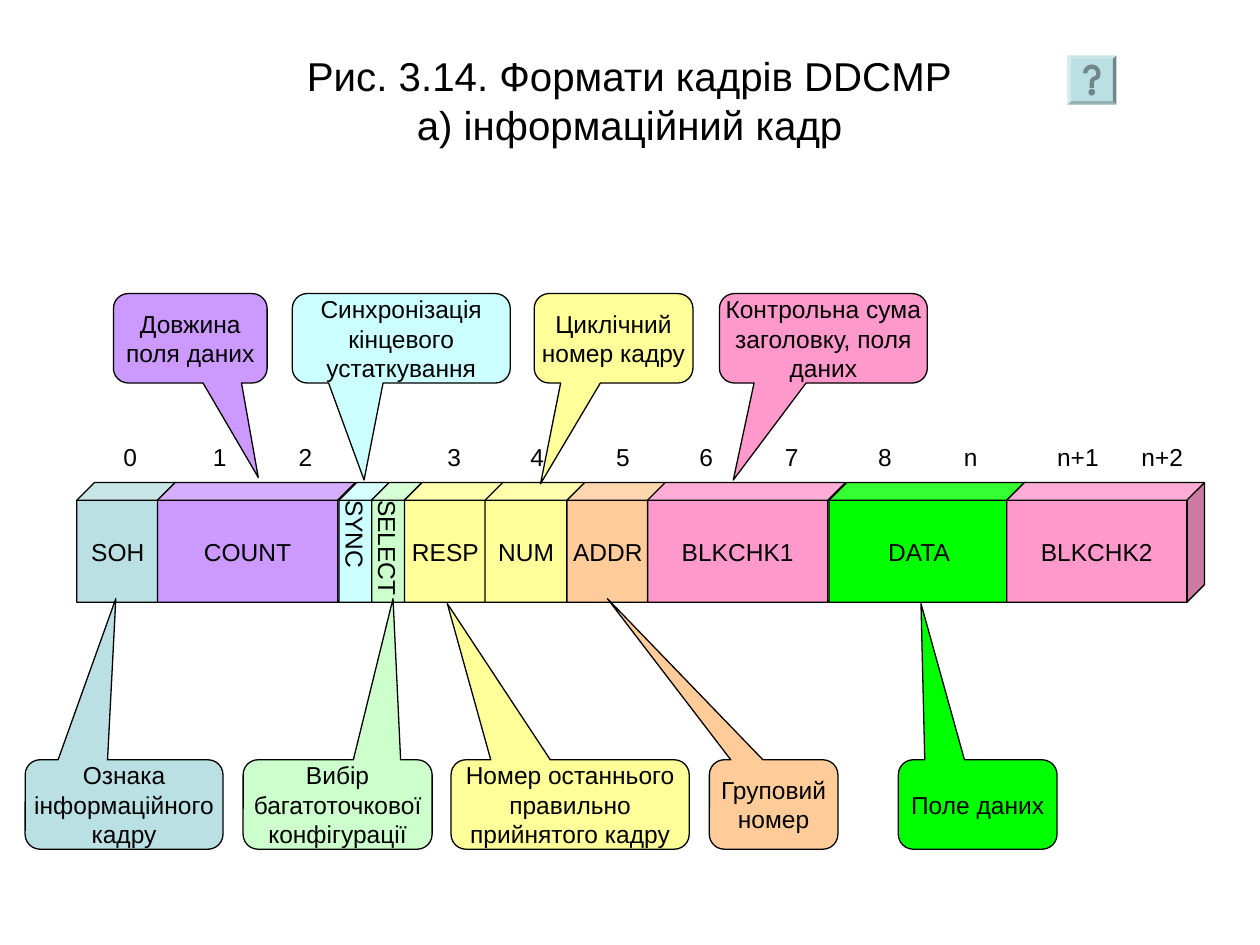
from pptx import Presentation
from pptx import util as u
from pptx.dml import color
from pptx.enum import shapes, text

HUES = {
    "black": "000000", "teal": "BBE0E3", "violet": "CC99FF", "cyan": "CCFFFF",
    "mint": "CCFFCC", "yellow": "FFFF99", "peach": "FFCC99", "pink": "FF99CC",
    "green": "00FF00",
}
DEPTH = 0.14
RIM = 0.03
FIELDS = [
    ("SOH", 0.61, 0.79, "teal"), ("COUNT", 1.25, 1.57, "violet"),
    ("SYNC", 2.69, 0.4, "cyan"), ("SELECT", 2.95, 0.4, "mint"),
    ("RESP", 3.21, 0.79, "yellow"), ("NUM", 3.85, 0.79, "yellow"),
    ("ADDR", 4.5, 0.79, "peach"), ("BLKCHK1", 5.14, 1.57, "pink"),
    ("DATA", 6.58, 1.57, "green"), ("BLKCHK2", 7.99, 1.57, "pink"),
]
BYTES = [
    ("0", 0.98), ("1", 1.69), ("2", 2.37), ("3", 3.55), ("4", 4.21), ("5", 4.89),
    ("6", 5.55), ("7", 6.23), ("8", 6.97), ("n", 7.65), ("n+1", 8.39), ("n+2", 9.06),
]
UPPER = [
    ("Довжина поля даних", 0.9, 1.22, (2.05, 3.79), "violet"),
    ("Синхронізація кінцевого устаткування", 2.32, 1.73, (2.89, 3.81), "cyan"),
    ("Циклічний номер кадру", 4.24, 1.26, (4.29, 3.84), "yellow"),
    ("Контрольна сума заголовку, поля даних", 5.71, 1.65, (5.82, 3.81), "pink"),
]
LOWER = [
    ("Ознака інформаційного кадру", 0.2, 1.57, (0.92, 4.75), "teal"),
    ("Вибір багатоточкової конфігурації", 1.93, 1.5, (3.12, 4.75), "mint"),
    ("Номер останнього правильно прийнятого кадру", 3.58, 1.89, (3.55, 4.79), "yellow"),
    ("Груповий номер", 5.63, 1.02, (4.82, 4.75), "peach"),
    ("Поле даних", 7.13, 1.26, (7.31, 4.79), "green"),
]


def rgb(hue):
    """Return the named colour."""
    return color.RGBColor.from_string(HUES[hue])


def write(frame, words, size=14, align=text.PP_ALIGN.CENTER, wrap=True):
    """Fill a text frame and format its runs."""
    frame.text = words
    frame.word_wrap = wrap
    for para in frame.paragraphs:
        para.alignment = align
        for run in para.runs:
            run.font.size = u.Pt(size)
            run.font.name = "Arial"
            run.font.color.rgb = rgb("black")


def clear(frame):
    """Remove the margins of a text frame."""
    frame.margin_left = frame.margin_right = 0
    frame.margin_top = frame.margin_bottom = 0


def draw(slide, kind, box, hue):
    """Add a filled preset shape with a thin black edge."""
    item = slide.shapes.add_shape(kind, *map(u.Inches, box))
    item.shadow.inherit = False
    item.fill.solid()
    item.fill.fore_color.rgb = rgb(hue)
    item.line.color.rgb = rgb("black")
    item.line.width = u.Pt(0.75)
    clear(item.text_frame)
    item.text_frame.vertical_anchor = text.MSO_ANCHOR.MIDDLE
    return item


def head(slide, box):
    """Place the title in its placeholder."""
    title = slide.shapes.title
    title.left, title.top, title.width, title.height = map(u.Inches, box)
    frame = title.text_frame
    write(frame, "Рис. 3.14. Формати кадрів DDCMP\nа) інформаційний кадр", 23)
    frame.vertical_anchor = text.MSO_ANCHOR.TOP
    frame.auto_size = text.MSO_AUTO_SIZE.NONE


def help_key(slide, left, top, side):
    """Place the help button on its bevelled rim."""
    rim = draw(slide, shapes.MSO_SHAPE.BEVEL, (left, top, side, side), "teal")
    rim.adjustments[0] = RIM / side
    face = side - 2 * RIM
    box = (left + RIM, top + RIM, face, face)
    key = draw(slide, shapes.MSO_SHAPE.ACTION_BUTTON_HELP, box, "teal")
    for part in (rim, key):
        part.line.fill.background()


def strip(slide, top, high):
    """Place the row of frame fields."""
    for name, left, wide, hue in FIELDS:
        thin = wide < 0.5
        cube = draw(slide, shapes.MSO_SHAPE.CUBE, (left, top, wide, high), hue)
        cube.adjustments[0] = DEPTH / min(wide, high)
        write(cube.text_frame, name, wrap=thin)
        if thin:
            cube.text_frame._txBody.bodyPr.set("vert", "eaVert")


def scale(slide, top, high):
    """Place the byte numbers above the fields."""
    for mark, left in BYTES:
        box = (left, top, 0.12 * len(mark), high)
        label = slide.shapes.add_textbox(*map(u.Inches, box))
        clear(label.text_frame)
        write(label.text_frame, mark, align=text.PP_ALIGN.LEFT, wrap=False)
        label.text_frame.auto_size = text.MSO_AUTO_SIZE.SHAPE_TO_FIT_TEXT


def notes(slide, items, top, high):
    """Place a row of callouts, each pointing at its tip."""
    for words, left, wide, (tip_x, tip_y), hue in items:
        kind = shapes.MSO_SHAPE.ROUNDED_RECTANGULAR_CALLOUT
        note = draw(slide, kind, (left, top, wide, high), hue)
        note.adjustments[0] = (tip_x - left) / wide - 0.5
        note.adjustments[1] = (tip_y - top) / high - 0.5
        write(note.text_frame, words)


def main():
    """Build and save the slide."""
    deck = Presentation()
    deck.slide_width, deck.slide_height = u.Inches(10), u.Inches(7.5)
    slide = deck.slides.add_slide(deck.slide_layouts[5])
    head(slide, (0, 0.36, 10, 0.87))
    help_key(slide, 8.47, 0.44, 0.39)
    strip(slide, 3.83, 0.95)
    scale(slide, 3.51, 0.23)
    notes(slide, UPPER, 2.33, 0.71)
    notes(slide, LOWER, 6.03, 0.71)
    deck.save("out.pptx")


if __name__ == "__main__":
    main()
